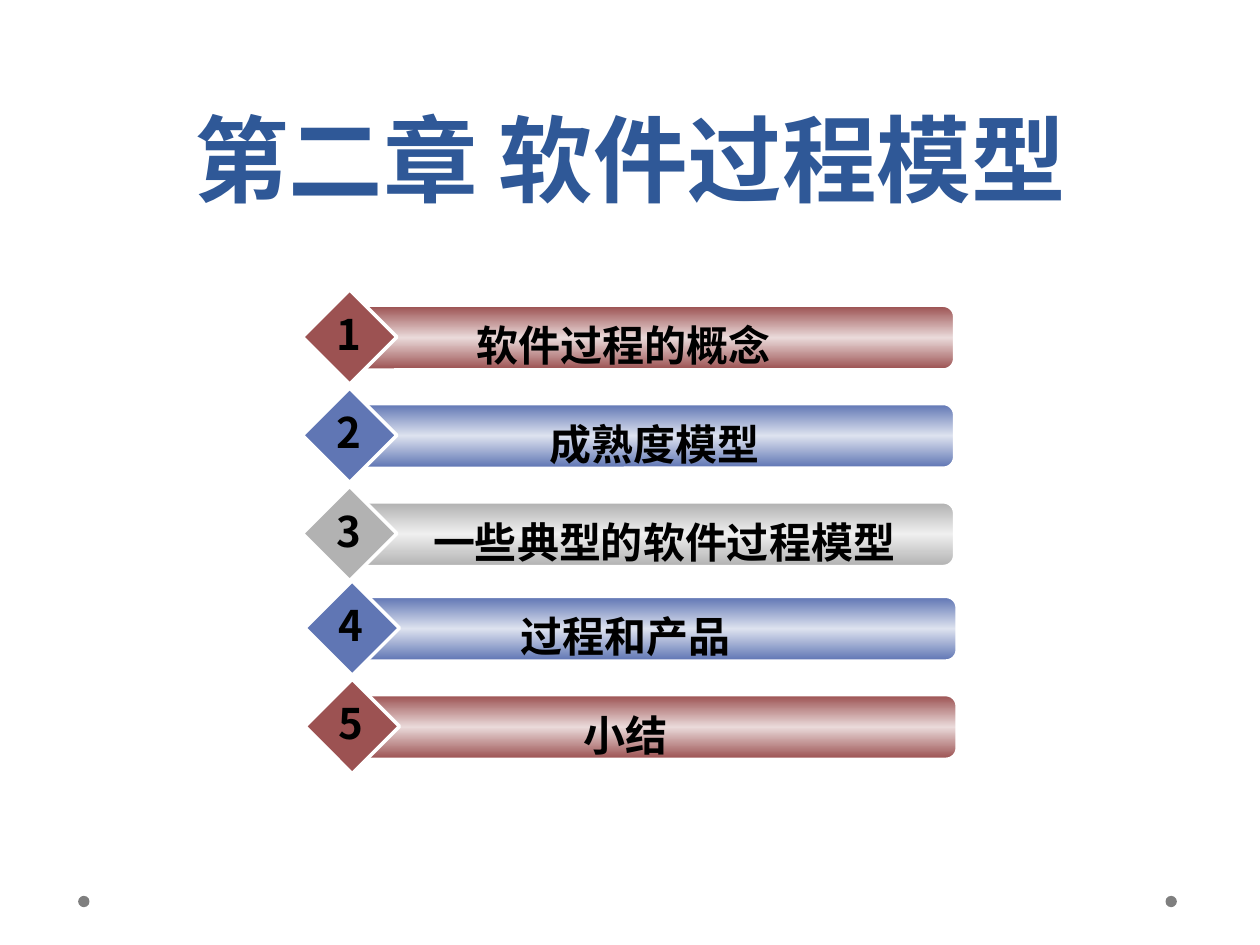
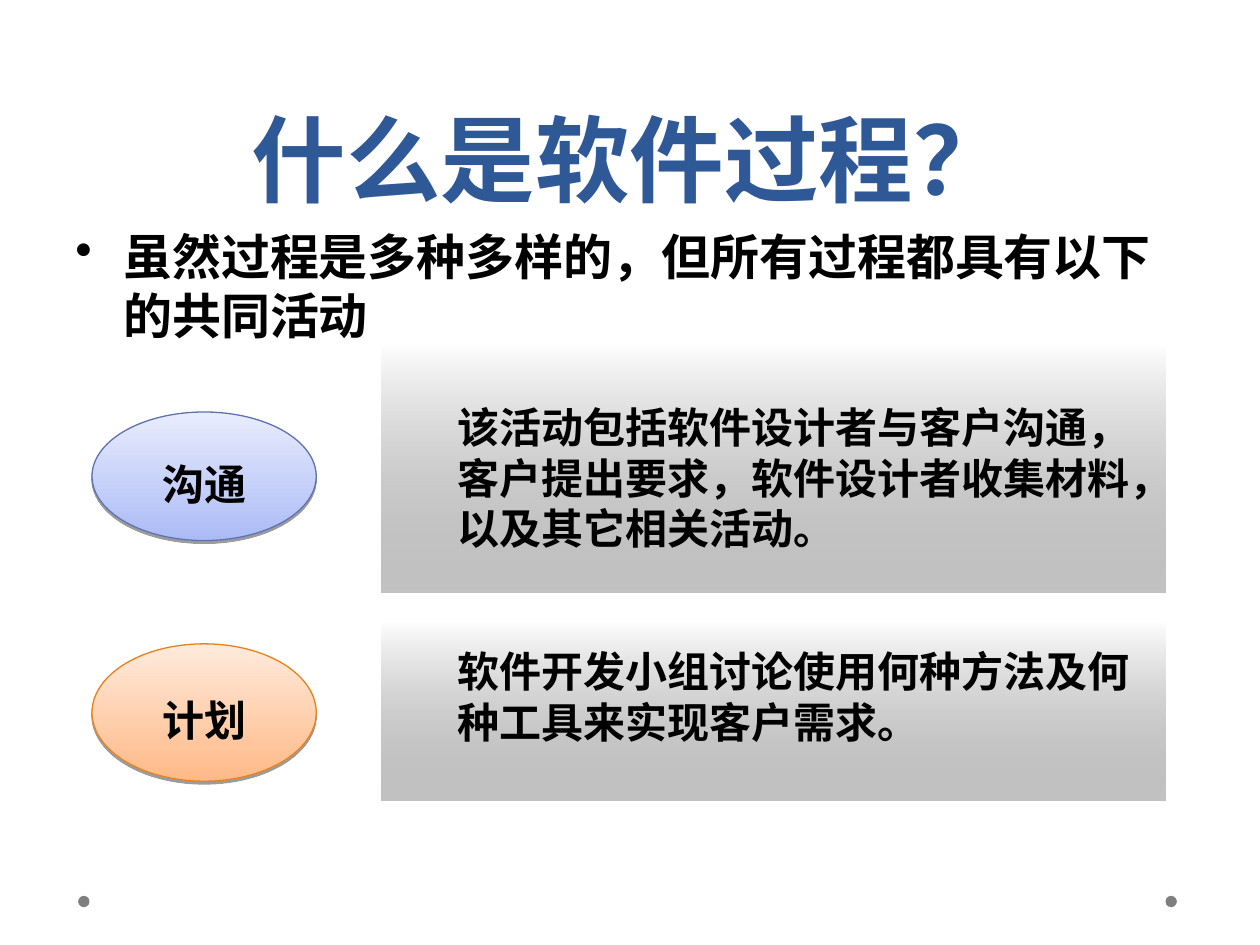
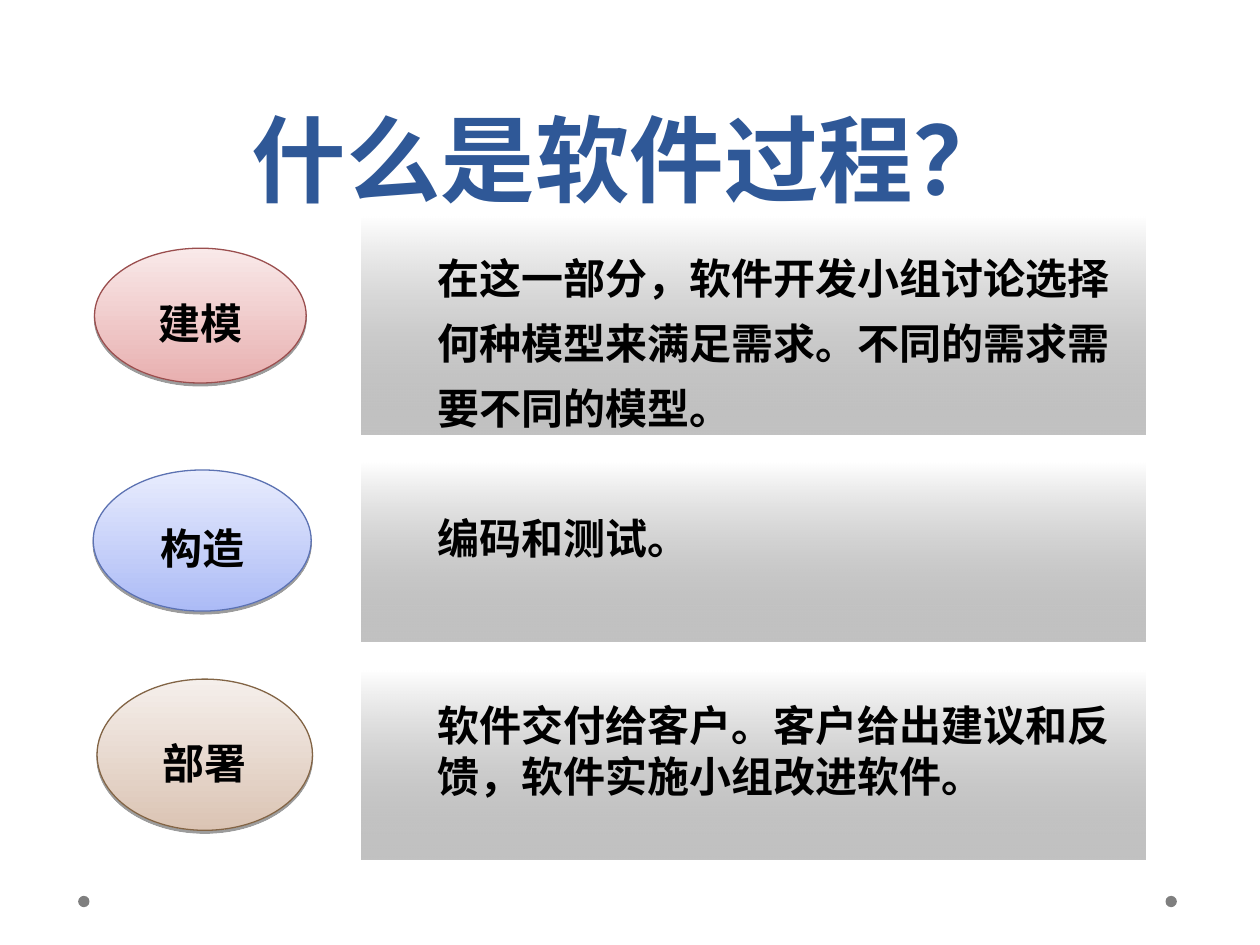
from dataclasses import dataclass

from lxml.etree import SubElement
from pptx import Presentation
from pptx.dml.color import RGBColor as Rgb
from pptx.enum.shapes import MSO_SHAPE as Form
from pptx.enum.text import MSO_ANCHOR as Anchor, PP_ALIGN as Align
from pptx.oxml.ns import qn
from pptx.util import Inches, Pt


@dataclass(frozen=True)
class Theme:
    # Colours
    title: str = "2F5897"
    ink: str = "000000"
    white: str = "FFFFFF"
    dot: str = "7F7F7F"
    # Row colours: edge, middle
    red: tuple = ("9C5252", "EADADA")
    blue: tuple = ("6076B4", "DDE2EF")
    grey: tuple = ("B2B2B2", "EFEFEF")
    # Oval colours: top, bottom, outline
    sky: tuple = ("E8ECFD", "ACBBF6", "5C72B2")
    peach: tuple = ("FFEADC", "FFB987", "E6811C")
    rose: tuple = ("F9E9E9", "E8B0B0", "9A4E4E")
    sand: tuple = ("F5EFEB", "DBC4B4", "826445")
    # Fonts and type sizes
    face: str = "Cabin"
    serif: str = "Times New Roman"
    hei: str = "Noto Sans CJK SC"
    big: int = 54
    mid: int = 28
    base: int = 24


THEME = Theme()


def write(shape, text, size=THEME.base, face=THEME.face, color=THEME.ink,
          align=Align.LEFT, anchor=Anchor.TOP, space=None, wrap=True,
          inset=(0.1, 0.05, 0.1, 0.05), bullet=None):
    """Put bold text into a shape; inset is left, top, right, bottom."""
    frame = shape.text_frame
    frame.word_wrap = wrap
    frame.vertical_anchor = anchor
    (frame.margin_left, frame.margin_top,
     frame.margin_right, frame.margin_bottom) = map(Inches, inset)
    para = frame.paragraphs[0]
    para.alignment = align
    if space:
        para.line_spacing = space
    if bullet:
        props = para._p.get_or_add_pPr()
        props.set("marL", str(Inches(0.38)))
        props.set("indent", str(-Inches(0.38)))
        SubElement(props, qn("a:buChar"), char=bullet)
    run = para.add_run()
    run.text = text
    font = run.font
    font.name, font.size, font.bold = face, Pt(size), True
    font.color.rgb = Rgb.from_string(color)
    SubElement(run._r.get_or_add_rPr(), qn("a:ea"), typeface=THEME.hei)


class Deck:
    def __init__(self, theme):
        self.theme = theme
        self.file = Presentation()
        self.file.slide_width = Inches(10)
        self.file.slide_height = Inches(7.5)
        self.slide = None

    def page(self, title):
        """Start a slide with its footer dots and title."""
        look = self.theme
        self.slide = self.file.slides.add_slide(self.file.slide_layouts[6])
        for left in (9.25, 0.62):
            self.shape(Form.OVAL, (left, 7.11, 0.09, 0.09), look.dot)
        self.text((0.5, 0, 9, 1.75), title, size=look.big, color=look.title,
                  align=Align.CENTER, anchor=Anchor.BOTTOM, space=Pt(58))

    def text(self, box, text, **fmt):
        write(self.slide.shapes.add_textbox(*map(Inches, box)), text, **fmt)

    def shape(self, form, box, fill=None, line=None, width=1, round=None):
        item = self.slide.shapes.add_shape(form, *map(Inches, box))
        item.shadow.inherit = False
        if round is not None:
            item.adjustments[0] = round
        if fill:
            item.fill.solid()
            item.fill.fore_color.rgb = Rgb.from_string(fill)
        if line:
            item.line.color.rgb = Rgb.from_string(line)
            item.line.width = Pt(width)
        else:
            item.line.fill.background()
        return item

    def fade(self, item, *stops):
        """Fill from top to bottom with evenly spaced (colour, alpha) stops."""
        item.fill.gradient()
        grad = item._element.spPr.find(qn("a:gradFill"))
        for part in list(grad):
            grad.remove(part)
        ramp = SubElement(grad, qn("a:gsLst"))
        for num, (color, alpha) in enumerate(stops):
            stop = SubElement(ramp, qn("a:gs"),
                              pos=str(100000 * num // (len(stops) - 1)))
            tint = SubElement(stop, qn("a:srgbClr"), val=color)
            if alpha < 100:
                SubElement(tint, qn("a:alpha"), val=str(alpha * 1000))
        SubElement(grad, qn("a:lin"), ang="5400000", scaled="0")

    def row(self, left, top, num, text, hue, width):
        """Agenda row: striped bar, diamond, label and number."""
        look = self.theme
        edge, core = hue
        bar = self.shape(Form.ROUNDED_RECTANGLE,
                         (left + 0.42, top + 0.13, 4.75, 0.5),
                         line=look.white, round=0.167)
        self.fade(bar, (edge, 100), (core, 100), (edge, 100))
        self.shape(Form.DIAMOND, (left, top, 0.75, 0.75), edge, look.white, 2)
        fmt = dict(face=look.hei, align=Align.CENTER)
        self.text((left + 0.67, top + 0.19, width, 0.5), text, **fmt)
        self.text((left + 0.17, top + 0.1, 0.39, 0.5), str(num), wrap=False,
                  **fmt)

    def oval(self, box, text, hue):
        top, base, edge = hue
        item = self.shape(Form.OVAL, box, line=edge, width=0.75)
        self.fade(item, (top, 100), (base, 100))
        cast = SubElement(item._element.spPr.find(qn("a:effectLst")),
                          qn("a:outerShdw"), blurRad="0", dist=str(Pt(1.6)),
                          dir="5400000", rotWithShape="0")
        tint = SubElement(cast, qn("a:srgbClr"), val=self.theme.ink)
        SubElement(tint, qn("a:alpha"), val="38000")
        write(item, text, align=Align.CENTER, anchor=Anchor.MIDDLE, space=1.3)

    def panel(self, box, text, foot=0, space=None):
        look = self.theme
        item = self.shape(Form.ROUNDED_RECTANGLE, box, round=0)
        self.fade(item, (look.white, 53), (look.ink, 24))
        write(item, text, face=look.serif, anchor=Anchor.MIDDLE, space=space,
              inset=(0.6, 0.15, 0, foot))


def main():
    deck = Deck(THEME)

    # Agenda: the last two rows sit slightly right and up
    deck.page("第二章 软件过程模型")
    rows = [
        ("软件过程的概念", THEME.red, 3.75),
        ("成熟度模型", THEME.blue, 4.25),
        ("一些典型的软件过程模型", THEME.grey, 4.4),
        ("过程和产品", THEME.blue, 3.75),
        ("小结", THEME.red, 3.75),
    ]
    for num, (text, hue, width) in enumerate(rows, 1):
        late = num > 3
        deck.row(2.42 if late else 2.4,
                 2.3 + 0.78 * (num - 1) - (0.03 if late else 0),
                 num, text, hue, width)

    # Activities: communication and planning
    ask = "什么是软件过程？"
    deck.page(ask)
    deck.text((0.5, 1.75, 9, 4.95),
              "虽然过程是多种多样的，但所有过程都具有以下的共同活动",
              size=THEME.mid, bullet="•")
    deck.oval((0.73, 3.27, 1.78, 1.02), "沟通", THEME.sky)
    deck.panel((3.03, 2.73, 6.22, 1.97),
               "该活动包括软件设计者与客户沟通，客户提出要求，"
               "软件设计者收集材料，以及其它相关活动。")
    deck.oval((0.73, 5.11, 1.78, 1.09), "计划", THEME.peach)
    deck.panel((3.03, 4.93, 6.22, 1.42),
               "软件开发小组讨论使用何种方法及何种工具来实现客户需求。",
               foot=0.38)

    # Activities: modelling, construction and deployment
    deck.page(ask)
    deck.oval((0.75, 1.97, 1.68, 1.07), "建模", THEME.rose)
    deck.panel((2.87, 1.72, 6.22, 1.73),
               "在这一部分，软件开发小组讨论选择何种模型来满足需求。"
               "不同的需求需要不同的模型。", space=1.3)
    deck.oval((0.74, 3.73, 1.73, 1.12), "构造", THEME.sky)
    deck.panel((2.87, 3.67, 6.22, 1.42), "编码和测试。", foot=0.38)
    deck.oval((0.77, 5.39, 1.71, 1.2), "部署", THEME.sand)
    deck.panel((2.87, 5.32, 6.22, 1.5),
               "软件交付给客户。客户给出建议和反馈，软件实施小组改进软件。",
               foot=0.38)

    deck.file.save("out.pptx")


if __name__ == "__main__":
    main()
